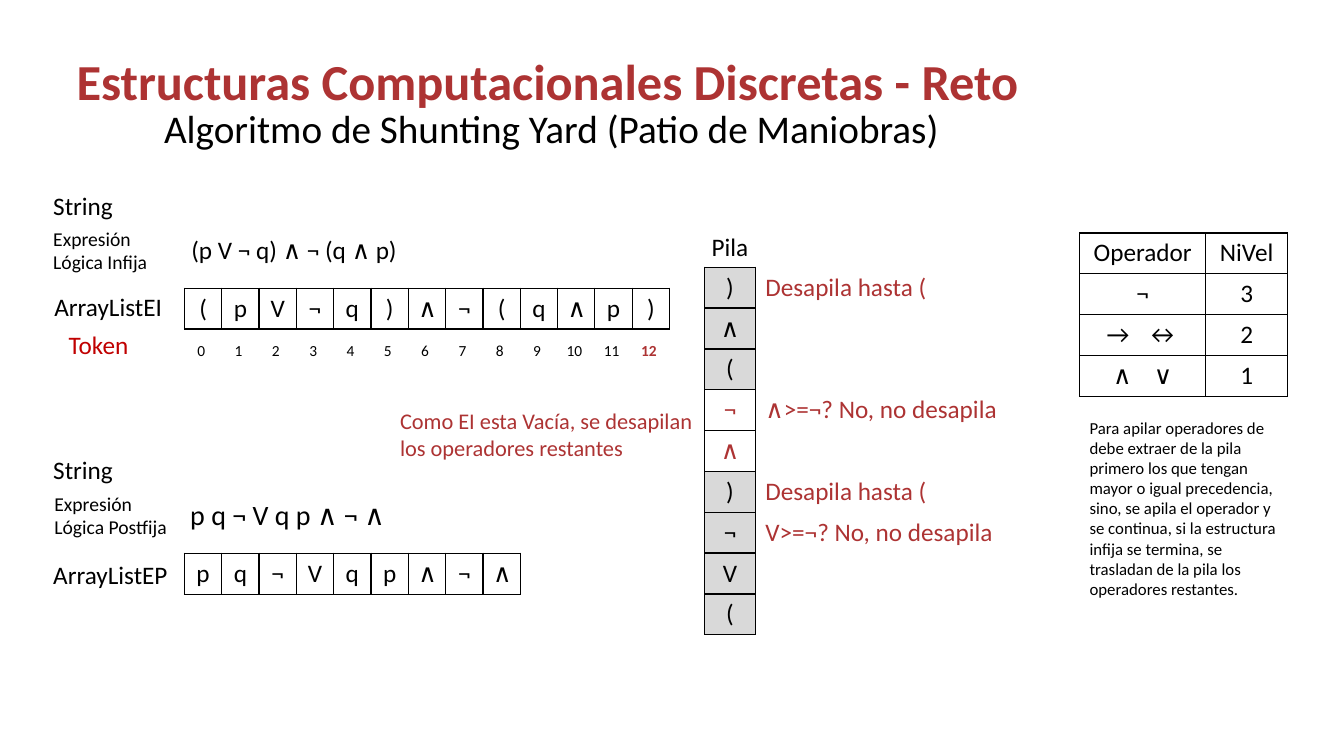
from dataclasses import dataclass

from lxml.etree import SubElement
from pptx import Presentation
from pptx.dml.color import RGBColor
from pptx.enum.text import MSO_ANCHOR as Anchor, PP_ALIGN as Align
from pptx.oxml import parse_xml
from pptx.oxml.ns import nsdecls, qn
from pptx.util import Inches, Pt


@dataclass(frozen=True)
class Theme:
    font: str = "Calibri"
    ink: str = "000000"
    accent: str = "AD3333"
    token: str = "C00000"
    shade: str = "D9D9D9"
    title: int = 36
    subtitle: int = 28
    result: int = 20
    body: int = 18
    remark: int = 16
    label: int = 14
    note: int = 12
    index: int = 11


THEME = Theme()


def write(frame, text, size=THEME.body, color=THEME.ink, bold=False,
          align=Align.LEFT, leading=None, tracking=0):
    """Put one formatted paragraph in a text frame; tracking is in points."""
    para = frame.paragraphs[0]
    para.alignment = align
    if leading:
        para.line_spacing = leading
    span = para.add_run()
    span.text = text
    span.font.name = THEME.font
    span.font.size = Pt(size)
    span.font.bold = bold
    span.font.color.rgb = RGBColor.from_string(color)
    if tracking:
        span.font._element.set("spc", str(tracking * 100))


class GridSlide:
    """A slide measured in 36 columns and 18.5 rows."""

    def __init__(self, deck, theme):
        self.theme = theme
        self.column = deck.slide_width / 36
        self.row = deck.slide_height / 18.5
        self.page = deck.slides.add_slide(deck.slide_layouts[5])

    def area(self, left, top, width, height):
        return (round(left * self.column), round(top * self.row),
                round(width * self.column), round(height * self.row))

    def title(self, text, *place):
        box = self.page.shapes.title
        box.left, box.top, box.width, box.height = self.area(*place)
        box.text_frame.vertical_anchor = Anchor.MIDDLE
        write(box.text_frame, text, size=self.theme.title,
              color=self.theme.accent, bold=True, leading=0.9)

    def text(self, text, left, top, width, height=1, **style):
        box = self.page.shapes.add_textbox(*self.area(left, top, width, height))
        box.text_frame.word_wrap = True
        write(box.text_frame, text, **style)

    def border(self, cell, sides):
        properties = cell._tc.get_or_add_tcPr()
        for position, side in enumerate("LRTB"):
            line = parse_xml(f'<a:ln{side} {nsdecls("a")} w="12700"/>')
            if side in sides:
                fill = SubElement(line, qn("a:solidFill"))
                SubElement(fill, qn("a:srgbClr"), val=self.theme.ink)
            else:
                SubElement(line, qn("a:noFill"))
            properties.insert(position, line)

    def table(self, rows, left, top, widths):
        """Each cell is a dict: text, sides, fill, and any format of write."""
        place = self.area(left, top, sum(widths), len(rows))
        grid = self.page.shapes.add_table(len(rows), len(widths), *place).table
        grid.first_row = grid.horz_banding = False
        for column, width in zip(grid.columns, widths):
            column.width = round(width * self.column)
        for r, row in enumerate(rows):
            for c, entry in enumerate(row):
                style = {"align": Align.CENTER, **entry}
                cell = grid.cell(r, c)
                self.border(cell, style.pop("sides", "LRTB"))
                shade = style.pop("fill", None)
                if shade:
                    cell.fill.solid()
                    cell.fill.fore_color.rgb = RGBColor.from_string(shade)
                else:
                    cell.fill.background()
                if style["text"]:
                    write(cell.text_frame, **style)

    def strip(self, texts, left, top):
        self.table([[{"text": text} for text in texts]],
                   left, top, [1] * len(texts))


def main():
    deck = Presentation()
    deck.slide_width, deck.slide_height = Inches(13.33), Inches(7.5)
    slide = GridSlide(deck, THEME)

    # Heading
    slide.title("Estructuras Computacionales Discretas - Reto",
                1.78, 1.33, 29.6, 1.46)
    slide.text("Algoritmo de Shunting Yard (Patio de Maniobras)",
               4.13, 2.44, 22.74, 1.41, size=THEME.subtitle)

    # Infix expression, its tokens and their indices
    slide.text("String", 1.16, 4.54, 2.6)
    slide.text("Expresión Lógica Infija", 1.16, 5.43, 3.4, 1.41,
               size=THEME.label)
    slide.text("(p V ¬ q) ∧ ¬ (q ∧ p)", 4.86, 5.62, 6.4)
    slide.text("ArrayListEI", 1.19, 7.01, 4)
    infix = "(pV¬q)∧¬(q∧p)"
    slide.strip(infix, 4.94, 7.05)
    slide.text("Token", 1.57, 7.94, 2.6, color=THEME.token)
    indices = [{"text": str(i), "sides": "", "size": THEME.index}
               for i in range(len(infix))]
    indices[-1].update(color=THEME.accent, bold=True)
    slide.table([indices], 4.89, 8.24, [1] * len(infix))

    # Postfix expression and its tokens
    slide.text("String", 1.16, 11, 2.6)
    slide.text("Expresión Lógica Postfija", 1.19, 11.91, 3.65, 1.41,
               size=THEME.label)
    slide.text("p q ¬ V q p ∧ ¬ ∧", 4.83, 12.06, 8.8, 1.09,
               size=THEME.result)
    slide.text("ArrayListEP", 1.16, 13.57, 4)
    slide.strip("pq¬Vqp∧¬∧", 4.94, 13.54)

    # Stack with a remark beside each step; the open entries are not shaded
    slide.text("Pila", 18.5, 5.53, 2.1, align=Align.CENTER)
    remarks = {0: "Desapila hasta (", 3: "∧>=¬? No, no desapila",
               5: "Desapila hasta (", 6: "V>=¬? No, no desapila"}
    steps = []
    for i, symbol in enumerate(")∧(¬∧)¬V("):
        state = ({"color": THEME.accent} if i in (3, 4)
                 else {"fill": THEME.shade})
        steps.append([{"text": symbol, **state},
                      {"text": remarks.get(i, ""), "sides": "L",
                       "color": THEME.accent, "align": Align.LEFT}])
    slide.table(steps, 18.88, 6.54, [1.35, 7.43])
    slide.text("Como EI esta Vacía, se desapilan los operadores restantes",
               10.45, 9.84, 8.89, 1.58, size=THEME.remark, color=THEME.accent)

    # Operator precedence
    levels = [("Operador", "NiVel", 0), ("¬", "3", 0),
              ("→ ↔", "2", 4), ("∧ ∨", "1", 6)]
    slide.table([[{"text": operator, "tracking": gap}, {"text": level}]
                 for operator, level, gap in levels],
                28.92, 5.7, [3.38, 2.19])
    slide.text("Para apilar operadores de debe extraer de la pila primero los "
               "que tengan mayor o igual precedencia, sino, se apila el "
               "operador y se continua, si la estructura infija se termina, "
               "se trasladan de la pila los operadores restantes.",
               28.92, 10.09, 5.56, 4.74, size=THEME.note)

    deck.save("out.pptx")


if __name__ == "__main__":
    main()
